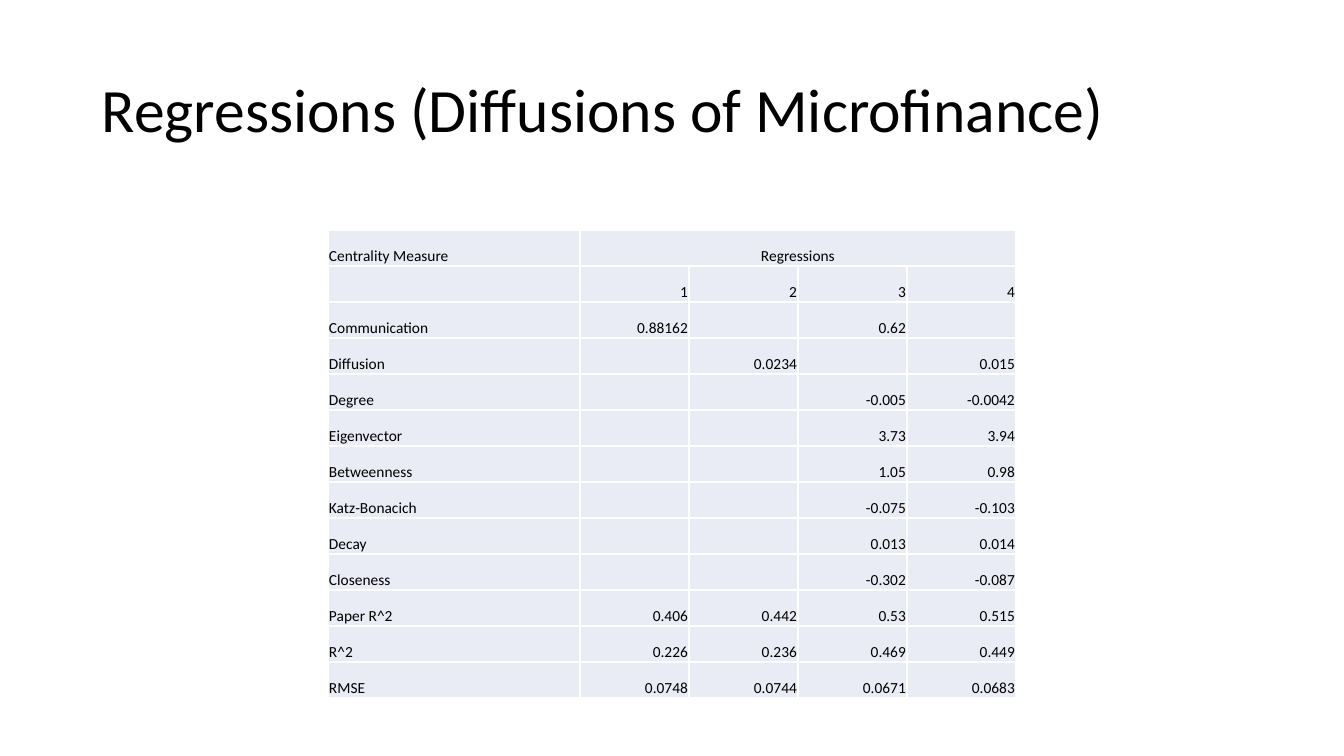
from dataclasses import dataclass

from lxml.etree import SubElement
from pptx import Presentation
from pptx.dml.color import RGBColor
from pptx.enum.text import MSO_ANCHOR, PP_ALIGN
from pptx.oxml.ns import qn
from pptx.util import Pt

PX = 914400 / 100.8


@dataclass(frozen=True)
class Theme:
    font: str = "Calibri"
    text: str = "000000"
    cell: str = "E9EBF5"
    border: str = "FFFFFF"
    title_size: int = 44
    table_size: int = 11
    border_width: int = 1


THEME = Theme()
TITLE = "Regressions (Diffusions of Microfinance)"
REGRESSIONS = [
    ("Centrality Measure", "Regressions", "", "", ""),
    ("", "1", "2", "3", "4"),
    ("Communication", "0.88162", "", "0.62", ""),
    ("Diffusion", "", "0.0234", "", "0.015"),
    ("Degree", "", "", "-0.005", "-0.0042"),
    ("Eigenvector", "", "", "3.73", "3.94"),
    ("Betweenness", "", "", "1.05", "0.98"),
    ("Katz-Bonacich", "", "", "-0.075", "-0.103"),
    ("Decay", "", "", "0.013", "0.014"),
    ("Closeness", "", "", "-0.302", "-0.087"),
    ("Paper R^2", "0.406", "0.442", "0.53", "0.515"),
    ("R^2", "0.226", "0.236", "0.469", "0.449"),
    ("RMSE", "0.0748", "0.0744", "0.0671", "0.0683"),
]


def px(n):
    return round(n * PX)


def set_attrs(obj, values):
    for name, value in values.items():
        setattr(obj, name, value)


def write(p, text, size, align):
    p.alignment = align
    r = p.add_run()
    r.text = text
    set_attrs(r.font, {"name": THEME.font, "size": Pt(size), "bold": False})
    r.font.color.rgb = RGBColor.from_string(THEME.text)


def add_title(s, box, text):
    tf = s.shapes.add_textbox(*map(px, box)).text_frame
    set_attrs(tf, {"word_wrap": True, "vertical_anchor": MSO_ANCHOR.MIDDLE})
    p = tf.paragraphs[0]
    p.line_spacing = 0.9
    write(p, text, THEME.title_size, PP_ALIGN.LEFT)


def style_cell(cell):
    set_attrs(cell, {
        "vertical_anchor": MSO_ANCHOR.BOTTOM,
        "margin_left": px(1), "margin_right": px(1),
        "margin_top": px(1), "margin_bottom": 0,
    })
    # Borders come before the fill in the cell properties
    tcPr = cell._tc.get_or_add_tcPr()
    for side in ("a:lnL", "a:lnR", "a:lnT", "a:lnB"):
        ln = SubElement(tcPr, qn(side), w=str(Pt(THEME.border_width)))
        SubElement(SubElement(ln, qn("a:solidFill")), qn("a:srgbClr"), val=THEME.border)
    cell.fill.solid()
    cell.fill.fore_color.rgb = RGBColor.from_string(THEME.cell)


def add_regression_table(s, box, rows, label_width):
    left, top, width, height = box
    n_rows, n_cols = len(rows), len(rows[0])
    table = s.shapes.add_table(n_rows, n_cols, *map(px, box)).table
    set_attrs(table, {"first_row": False, "horz_banding": False})

    # Wide label column, equal value columns, equal rows
    for i, column in enumerate(table.columns):
        column.width = px((width - label_width) / (n_cols - 1) if i else label_width)
    for row in table.rows:
        row.height = px(height / n_rows)

    for i, values in enumerate(rows):
        for j, text in enumerate(values):
            cell = table.cell(i, j)
            style_cell(cell)
            if text:
                align = PP_ALIGN.RIGHT if j else PP_ALIGN.LEFT
                write(cell.text_frame.paragraphs[0], text, THEME.table_size, align)

    # Heading across the value columns
    heading = table.cell(0, 1)
    heading.merge(table.cell(0, n_cols - 1))
    heading.text_frame.paragraphs[0].alignment = PP_ALIGN.CENTER


prs = Presentation()
set_attrs(prs, {"slide_width": px(1344), "slide_height": px(756)})
s = prs.slides.add_slide(prs.slide_layouts[6])
add_title(s, (92, 40, 1159, 146), TITLE)
add_regression_table(s, (328, 230, 688, 468), REGRESSIONS, label_width=252)
prs.save("out.pptx")
